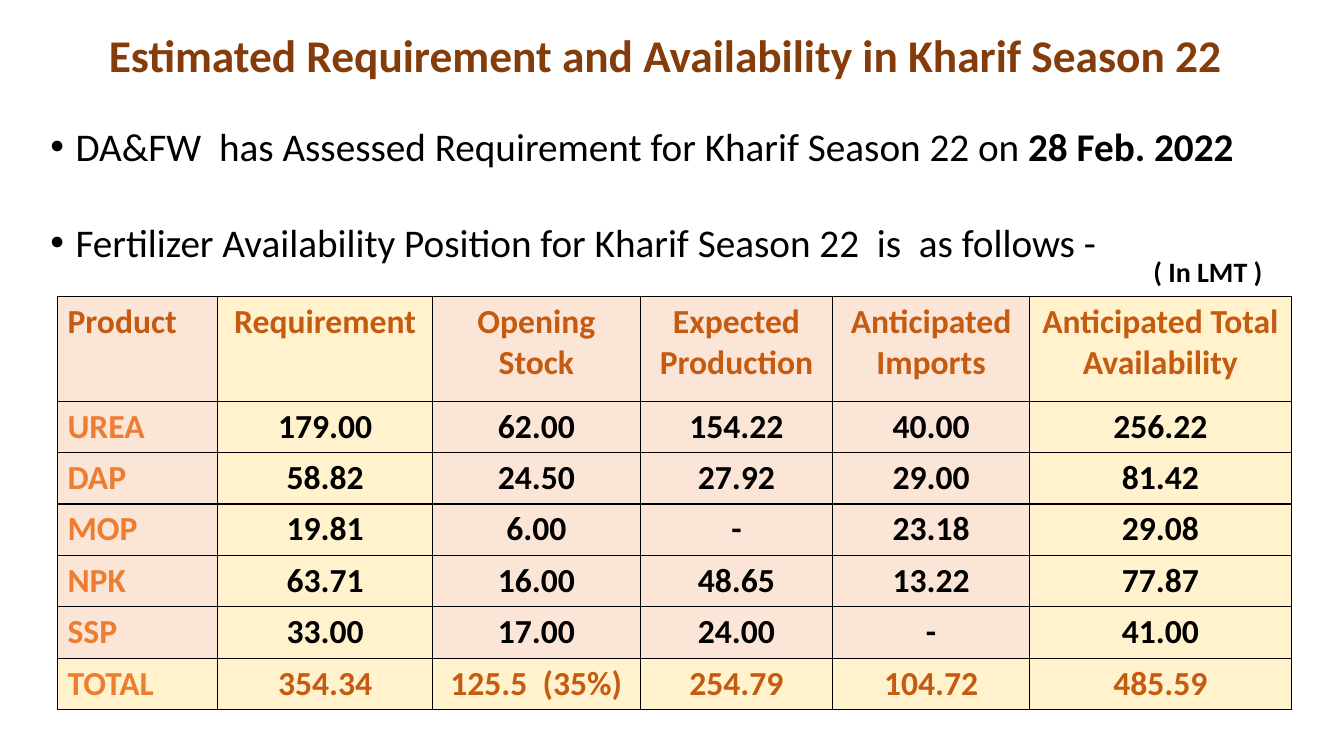
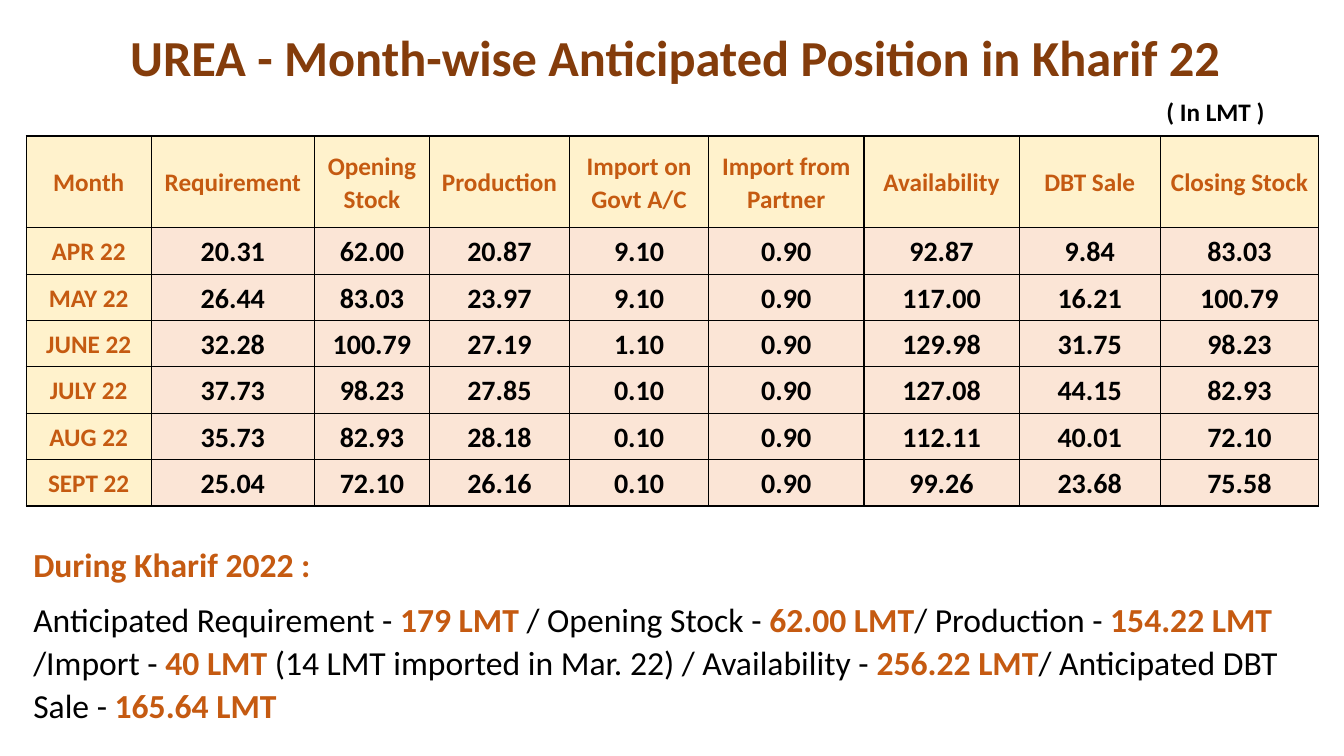
from lxml import etree
from pptx import Presentation
from pptx.dml.color import RGBColor
from pptx.enum.text import MSO_ANCHOR, MSO_AUTO_SIZE, PP_ALIGN
from pptx.oxml.ns import qn
from pptx.util import Inches, Pt

COLORS = {"title": "843C0B", "rust": "C55A11", "orange": "ED7D31", "black": "000000",
          "peach": "FBE5D6", "cream": "FFF2CC"}
FONT = "Calibri"
UNIT = "( In LMT )"

SEASON_TITLE = "Estimated Requirement and Availability in Kharif Season 22"
SEASON_POINTS = [
    [("DA&FW  has Assessed Requirement for Kharif Season 22 on ", "black", False),
     ("28 Feb. 2022", "black", True)],
    [("Fertilizer Availability Position for Kharif Season 22  is  as follows -", "black", False)],
]
SEASON_ROWS = [
    ("Product", "Requirement", "Opening\nStock", "Expected Production", "Anticipated Imports",
     "Anticipated Total Availability"),
    ("UREA", "179.00", "62.00", "154.22", "40.00", "256.22"),
    ("DAP", "58.82", "24.50", "27.92", "29.00", "81.42"),
    ("MOP", "19.81", "6.00", "-", "23.18", "29.08"),
    ("NPK", "63.71", "16.00", "48.65", "13.22", "77.87"),
    ("SSP", "33.00", "17.00", "24.00", "-", "41.00"),
    ("TOTAL", "354.34", "125.5  (35%)", "254.79", "104.72", "485.59"),
]
SEASON_WIDTHS = [1.59, 2.13, 2.06, 1.91, 1.95, 2.6]

UREA_TITLE = "UREA - Month-wise Anticipated Position in Kharif 22"
UREA_ROWS = [
    ("Month", "Requirement", "Opening Stock", "Production", "Import on Govt A/C",
     "Import from Partner", "Availability", "DBT Sale", "Closing Stock"),
    ("APR 22", "20.31", "62.00", "20.87", "9.10", "0.90", "92.87", "9.84", "83.03"),
    ("MAY 22", "26.44", "83.03", "23.97", "9.10", "0.90", "117.00", "16.21", "100.79"),
    ("JUNE 22", "32.28", "100.79", "27.19", "1.10", "0.90", "129.98", "31.75", "98.23"),
    ("JULY 22", "37.73", "98.23", "27.85", "0.10", "0.90", "127.08", "44.15", "82.93"),
    ("AUG 22", "35.73", "82.93", "28.18", "0.10", "0.90", "112.11", "40.01", "72.10"),
    ("SEPT 22", "25.04", "72.10", "26.16", "0.10", "0.90", "99.26", "23.68", "75.58"),
]
UREA_WIDTHS = [1.24, 1.62, 1.14, 1.39, 1.38, 1.54, 1.54, 1.4, 1.57]
SUMMARY_FIGURES = [
    ("Anticipated Requirement - ", "179 LMT "), ("/ Opening Stock - ", "62.00 LMT"),
    ("/ Production - ", "154.22 LMT "), ("/Import - ", "40 LMT "),
    ("(14 LMT imported in Mar. 22) / Availability - ", "256.22 LMT"),
    ("/ Anticipated DBT Sale - ", "165.64 LMT"),
]
SUMMARY = [
    [("During Kharif 2022 :", "rust", True)],
    [run for label, figure in SUMMARY_FIGURES
     for run in ((label, "black", False), (figure, "rust", True))],
]


def style(font, size, color, bold=True):
    font.name, font.size, font.bold = FONT, Pt(size), bold
    font.color.rgb = RGBColor.from_string(COLORS[color])


def place(shape, left, top, width, height):
    shape.left, shape.top = Inches(left), Inches(top)
    shape.width, shape.height = Inches(width), Inches(height)


def add_slide(deck, title, size, area):
    slide = deck.slides.add_slide(deck.slide_layouts[1])
    box = slide.shapes.title
    place(box, *area)
    frame = box.text_frame
    frame.text = title
    frame.vertical_anchor = MSO_ANCHOR.MIDDLE
    frame.paragraphs[0].alignment = PP_ALIGN.CENTER
    style(frame.paragraphs[0].runs[0].font, size, "title")
    return slide


def fill_body(slide, area, paragraphs, size, spacing, before, align, bullets):
    box = slide.placeholders[1]
    place(box, *area)
    frame = box.text_frame
    frame.auto_size = MSO_AUTO_SIZE.NONE
    for index, runs in enumerate(paragraphs):
        para = frame.add_paragraph() if index else frame.paragraphs[0]
        para.alignment, para.line_spacing = align, spacing
        para.space_before, para.space_after = Pt(before if index else 0), Pt(8)
        properties = para._p.get_or_add_pPr()
        indent = Inches(0.25) if bullets else 0
        properties.set("marL", str(indent))
        properties.set("indent", str(-indent))
        if not bullets:
            etree.SubElement(properties, qn("a:buNone"))
        for text, color, bold in runs:
            span = para.add_run()
            span.text = text
            style(span.font, size, color, bold)


def add_unit(slide, left, top, width, height, size):
    box = slide.shapes.add_textbox(Inches(left), Inches(top), Inches(width), Inches(height))
    box.text_frame.text = UNIT
    box.text_frame.word_wrap = False
    style(box.text_frame.paragraphs[0].runs[0].font, size, "black")


def set_borders(cell):
    properties = cell._tc.get_or_add_tcPr()
    for position, side in enumerate(("a:lnL", "a:lnR", "a:lnT", "a:lnB")):
        line = etree.Element(qn(side), w=str(Pt(1)))
        fill = etree.SubElement(line, qn("a:solidFill"))
        etree.SubElement(fill, qn("a:srgbClr"), val=COLORS["black"])
        properties.insert(position, line)


def add_grid(slide, left, top, rows, widths, heights, look, spacing, anchor, margins):
    """Draw a bordered table; look(row, column) gives fill, text colour, size and alignment."""
    table = slide.shapes.add_table(len(rows), len(widths), Inches(left), Inches(top),
                                   Inches(sum(widths)), Inches(sum(heights))).table
    table.first_row = table.horz_banding = False
    for column, width in zip(table.columns, widths):
        column.width = Inches(width)
    for row, height in zip(table.rows, heights):
        row.height = Inches(height)
    for row_index, values in enumerate(rows):
        for column_index, value in enumerate(values):
            fill, color, size, align = look(row_index, column_index)
            cell = table.cell(row_index, column_index)
            cell.text = value
            cell.vertical_anchor = anchor
            cell.margin_left = cell.margin_right = Inches(margins[0])
            cell.margin_top = cell.margin_bottom = Inches(margins[1])
            cell.fill.solid()
            cell.fill.fore_color.rgb = RGBColor.from_string(COLORS[fill])
            set_borders(cell)
            for para in cell.text_frame.paragraphs:
                para.alignment, para.line_spacing = align, spacing
                style(para.runs[0].font, size, color)


def season_look(row, column):
    last = len(SEASON_ROWS) - 1
    fill = "cream" if column in (1, 5) or row == last else "peach"
    if column == 0 and row > 0:
        color = "orange"
    else:
        color = "rust" if row in (0, last) else "black"
    return fill, color, 24, PP_ALIGN.CENTER if column else PP_ALIGN.LEFT


def urea_look(row, column):
    if row == 0 or column == 0:
        return "cream", "rust", 18, PP_ALIGN.CENTER
    return "peach", "black", 20, PP_ALIGN.CENTER


def main():
    deck = Presentation()
    deck.slide_width, deck.slide_height = Inches(13.33), Inches(7.5)

    season = add_slide(deck, SEASON_TITLE, 32.4, (0.93, 0.19, 11.34, 0.7))
    fill_body(season, (0.4, 0.93, 12.42, 2.08), SEASON_POINTS, 28, 1.5, 10,
              PP_ALIGN.JUSTIFY, True)
    add_grid(season, 0.57, 2.94, SEASON_ROWS, SEASON_WIDTHS, [1.04] + [0.51] * 6,
             season_look, 1.0, MSO_ANCHOR.TOP, (0.1, 0.05))
    add_unit(season, 11.34, 2.48, 1.3, 0.44, 20)

    urea = add_slide(deck, UREA_TITLE, 36, (0.95, 0.2, 11.5, 0.71))
    add_grid(urea, 0.26, 1.35, UREA_ROWS, UREA_WIDTHS, [0.91] + [0.46] * 6,
             urea_look, 1.07, MSO_ANCHOR.MIDDLE, (0.07, 0))
    fill_body(urea, (0.23, 5.32, 12.97, 1.94), SUMMARY, 24, 1.07, 0, PP_ALIGN.LEFT, False)
    add_unit(urea, 11.47, 0.91, 1.19, 0.4, 18)

    deck.save("out.pptx")


if __name__ == "__main__":
    main()
